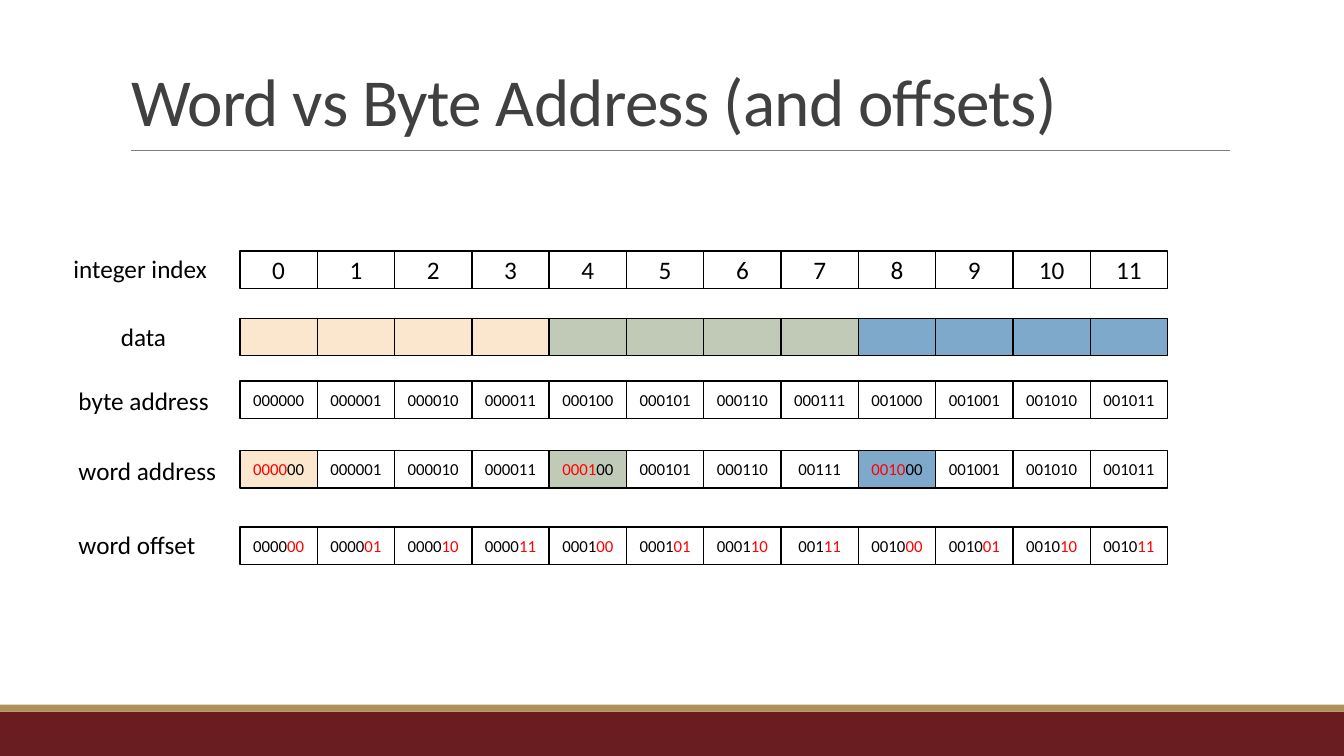
from pptx import Presentation
from pptx.dml.color import RGBColor
from pptx.enum.shapes import MSO_CONNECTOR, MSO_SHAPE
from pptx.enum.text import MSO_ANCHOR, MSO_AUTO_SIZE, PP_ALIGN
from pptx.oxml.ns import qn
from pptx.util import Inches, Pt
from lxml import etree

RECTANGLE = MSO_SHAPE.RECTANGLE
STRAIGHT = MSO_CONNECTOR.STRAIGHT
LEFT, CENTER = PP_ALIGN.LEFT, PP_ALIGN.CENTER
TOP, MIDDLE, BOTTOM = MSO_ANCHOR.TOP, MSO_ANCHOR.MIDDLE, MSO_ANCHOR.BOTTOM
NO_AUTOFIT, FIT_SHAPE = MSO_AUTO_SIZE.NONE, MSO_AUTO_SIZE.SHAPE_TO_FIT_TEXT

COLORS = {
    "maroon": "691D20", "gold": "B1915A", "rule": "808080", "title": "404040",
    "black": "000000", "red": "FF0000",
    "sand": "FBE6CE", "sage": "C1CAB6", "blue": "7EA9CA",
}
WORD_COLORS = ["sand", "sage", "blue"]
BYTES_PER_WORD = 4
BYTE_COUNT = BYTES_PER_WORD * len(WORD_COLORS)
ROW_LEFT = 2.38
CELL_WIDTH = 9.2 / BYTE_COUNT
CELL_HEIGHT = 0.37


def color(name):
    return RGBColor.from_string(COLORS[name])


def write_text(shape, runs, size=18, align=LEFT, anchor=TOP, wrap=True,
               autosize=NO_AUTOFIT, line_spacing=None, spacing=None):
    frame = shape.text_frame
    frame.word_wrap = wrap
    frame.auto_size = autosize
    frame.vertical_anchor = anchor
    paragraph = frame.paragraphs[0]
    paragraph.alignment = align
    paragraph.line_spacing = line_spacing
    for text, color_name in runs:
        run = paragraph.add_run()
        run.text = text
        run.font.name = "Calibri"
        run.font.size = Pt(size)
        run.font.color.rgb = color(color_name)
        if spacing is not None:
            run.font._element.set("spc", str(round(spacing * 100)))


presentation = Presentation()
presentation.slide_width = Inches(13.33)
presentation.slide_height = Inches(7.5)
slide = presentation.slides.add_slide(presentation.slide_layouts[5])

for top, height, name in [(7.06, 0.44, "maroon"), (6.99, 0.07, "gold")]:
    band = slide.shapes.add_shape(RECTANGLE, 0, Inches(top), presentation.slide_width, Inches(height))
    band.shadow.inherit = False
    band.fill.solid()
    band.fill.fore_color.rgb = color(name)
    band.line.fill.background()

title_rule = slide.shapes.add_connector(STRAIGHT, Inches(1.3), Inches(1.49), Inches(12.2), Inches(1.49))
title_rule.line.color.rgb = color("rule")
title_rule.line.width = Pt(0.5)
etree.SubElement(title_rule._element.spPr, qn("a:effectLst"))

title = slide.shapes.title
title.left, title.top, title.width, title.height = Inches(1.2), Inches(0.31), Inches(11), Inches(1.13)
write_text(title, [("Word vs Byte Address (and offsets)", "title")], size=48,
           anchor=BOTTOM, line_spacing=0.85, spacing=-0.5)

addresses = [f"{index:06b}" for index in range(BYTE_COUNT)]
short_addresses = addresses.copy()
short_addresses[7] = "00111"

index_cells = [[(str(index), "black")] for index in range(BYTE_COUNT)]
data_cells = [[] for index in range(BYTE_COUNT)]
byte_cells = [[(address, "black")] for address in addresses]
word_cells = [
    [(address, "black")] if index % BYTES_PER_WORD else [(address[:-2], "red"), (address[-2:], "black")]
    for index, address in enumerate(short_addresses)
]
offset_cells = [[(address[:-2], "black"), (address[-2:], "red")] for address in short_addresses]

every_byte = range(BYTE_COUNT)
word_starts = range(0, BYTE_COUNT, BYTES_PER_WORD)
rows = [
    ("integer index", (0.63, 2.46, 1.54), 2.49, 18, index_cells, []),
    ("data", (1.1, 3.14, 0.66), 3.16, 18, data_cells, every_byte),
    ("byte address", (0.68, 3.77, 1.51), 3.78, 12, byte_cells, []),
    ("word address", (0.68, 4.47, 1.58), 4.47, 12, word_cells, word_starts),
    ("word offset", (0.68, 5.2, 1.38), 5.23, 12, offset_cells, []),
]

for label, (label_left, label_top, label_width), row_top, size, cells, filled in rows:
    label_box = slide.shapes.add_textbox(Inches(label_left), Inches(label_top),
                                         Inches(label_width), Inches(0.4))
    write_text(label_box, [(label, "black")], wrap=False, autosize=FIT_SHAPE)

    row_group = slide.shapes.add_group_shape()
    for index, runs in enumerate(cells):
        cell = row_group.shapes.add_shape(RECTANGLE, Inches(ROW_LEFT + index * CELL_WIDTH), Inches(row_top),
                                          Inches(CELL_WIDTH), Inches(CELL_HEIGHT))
        cell.shadow.inherit = False
        cell.line.color.rgb = color("black")
        cell.line.width = Pt(1)
        if index in filled:
            cell.fill.solid()
            cell.fill.fore_color.rgb = color(WORD_COLORS[index // BYTES_PER_WORD])
        else:
            cell.fill.background()
        write_text(cell, runs, size=size, align=CENTER, anchor=MIDDLE)

presentation.save("out.pptx")
